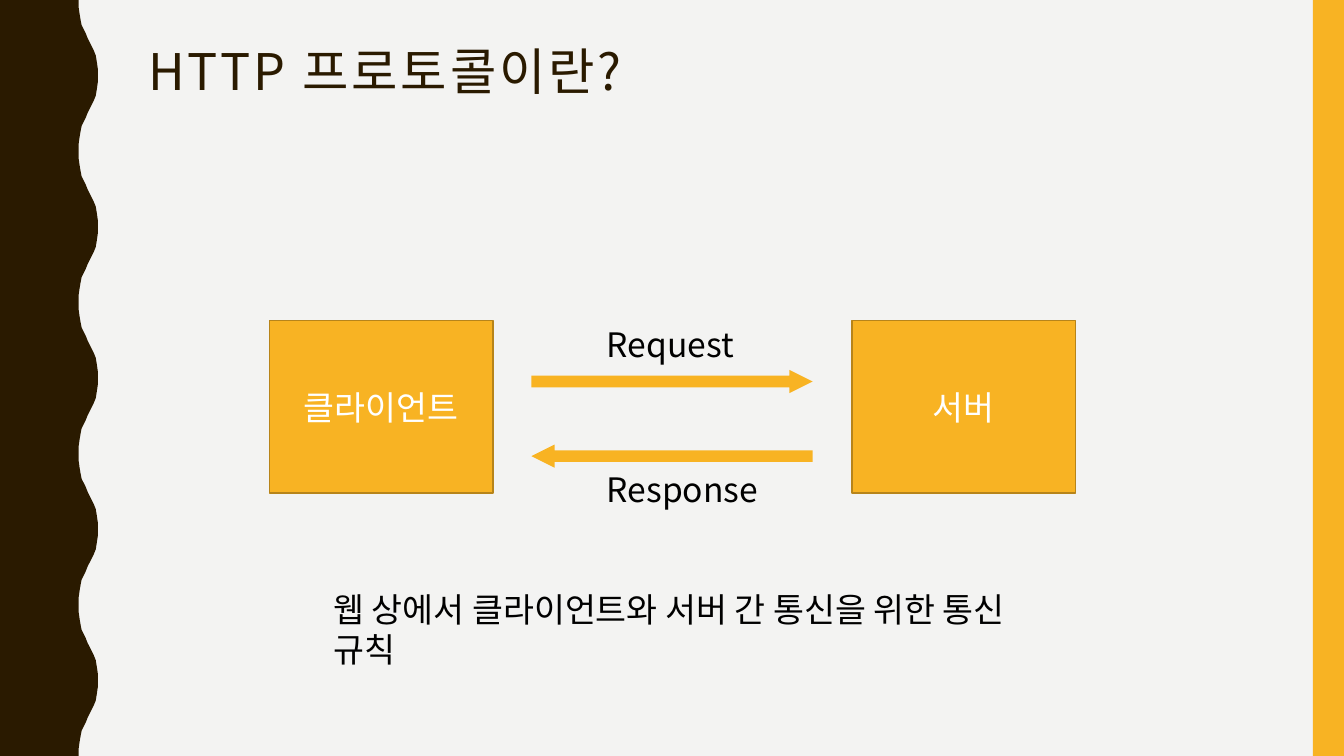
"""Build a slide that explains the HTTP protocol."""
import pptx
import pptx.dml.color
import pptx.enum.shapes
import pptx.enum.text
import pptx.util
from lxml import etree

Inches = pptx.util.Inches
Pt = pptx.util.Pt
RGBColor = pptx.dml.color.RGBColor
SHAPE = pptx.enum.shapes.MSO_SHAPE
ALIGN = pptx.enum.text.PP_ALIGN
ANCHOR = pptx.enum.text.MSO_ANCHOR

BROWN = RGBColor(0x2A, 0x1A, 0x00)
GOLD = RGBColor(0xF8, 0xB3, 0x23)
OCHRE = RGBColor(0xB7, 0x84, 0x1A)
PAPER = RGBColor(0xF3, 0xF3, 0xF2)
WHITE = RGBColor(0xFF, 0xFF, 0xFF)
BLACK = RGBColor(0x00, 0x00, 0x00)

PERIOD = 1.5
RISE = [(0.78, 0), (0.78, 0.07), (0.79, 0.14), (0.8, 0.2), (0.81, 0.25),
        (0.83, 0.29), (0.85, 0.33), (0.87, 0.38), (0.89, 0.42), (0.91, 0.46),
        (0.93, 0.5), (0.95, 0.55), (0.96, 0.61), (0.97, 0.68), (0.97, 0.75)]


class Slide:
    font = "Noto Sans CJK KR"

    def __init__(self, deck):
        self.page = deck.slides.add_slide(deck.slide_layouts[5])
        self.shapes = self.page.shapes
        self.page.background.fill.solid()
        self.page.background.fill.fore_color.rgb = PAPER

    def letter(self, frame, text, size, color, align=ALIGN.LEFT):
        frame.word_wrap = True
        para = frame.paragraphs[0]
        para.alignment = align
        run = para.add_run()
        run.text = text
        run.font.size = Pt(size)
        run.font.color.rgb = color
        run.font.name = self.font
        props = run._r.get_or_add_rPr()
        east = etree.SubElement(props, pptx.oxml.ns.qn("a:ea"))
        east.set("typeface", self.font)
        return para, props

    def place(self, shape, left, top, width, height):
        shape.left, shape.top = Inches(left), Inches(top)
        shape.width, shape.height = Inches(width), Inches(height)

    def paint(self, shape, fill, line=None):
        shape.shadow.inherit = False
        shape.fill.solid()
        shape.fill.fore_color.rgb = fill
        if line is None:
            shape.line.fill.background()
        else:
            shape.line.color.rgb = line
            shape.line.width = Pt(1)

    def title(self, text, *area):
        shape = self.shapes.title
        self.place(shape, *area)
        frame = shape.text_frame
        frame.vertical_anchor = ANCHOR.TOP
        para, props = self.letter(frame, text, 36, BROWN)
        para.line_spacing = 0.9
        props.set("spc", "200")

    def label(self, text, *area):
        box = self.shapes.add_textbox(*map(Inches, area))
        self.letter(box.text_frame, text, 24, BLACK)

    def block(self, *area, text="", line=None):
        shape = self.shapes.add_shape(SHAPE.RECTANGLE, *map(Inches, area))
        self.paint(shape, GOLD, line)
        if text:
            shape.text_frame.vertical_anchor = ANCHOR.MIDDLE
            self.letter(shape.text_frame, text, 24, WHITE, ALIGN.CENTER)

    def arrow(self, *area, turn=0):
        shape = self.shapes.add_shape(SHAPE.RIGHT_ARROW, *map(Inches, area))
        shape.adjustments[1] = 1
        shape.rotation = turn
        self.paint(shape, GOLD)

    def wave(self):
        cycle = RISE + [(x, PERIOD - y) for x, y in RISE[-2::-1]]
        edge = [(x, y + PERIOD * step) for step in range(5) for x, y in cycle]
        points = [(Inches(x), Inches(y)) for x, y in edge + [(0, 7.5)]]
        form = self.shapes.build_freeform(0, 0)
        form.add_line_segments(points, close=True)
        self.paint(form.convert_to_shape(), BROWN)


def main():
    deck = pptx.Presentation()
    deck.slide_width, deck.slide_height = Inches(13.33), Inches(7.5)
    slide = Slide(deck)
    slide.wave()
    slide.block(13.02, 0, 0.31, 7.5)
    slide.title("HTTP 프로토콜이란?", 1.37, 0.42, 6.12, 0.72)
    for left, name in ((2.67, "클라이언트"), (8.45, "서버")):
        slide.block(left, 3.18, 2.22, 1.71, text=name, line=OCHRE)
    for top, turn in ((3.67, 0), (4.41, 180)):
        slide.arrow(5.27, top, 2.79, 0.23, turn=turn)
    slide.label("Request", 5.92, 3.16, 1.5, 0.5)
    slide.label("Response", 5.92, 4.6, 1.73, 0.5)
    slide.label("웹 상에서 클라이언트와 서버 간 통신을 위한 통신 규칙", 3.21, 5.79, 7.24, 0.5)
    deck.save("out.pptx")


if __name__ == "__main__":
    main()
